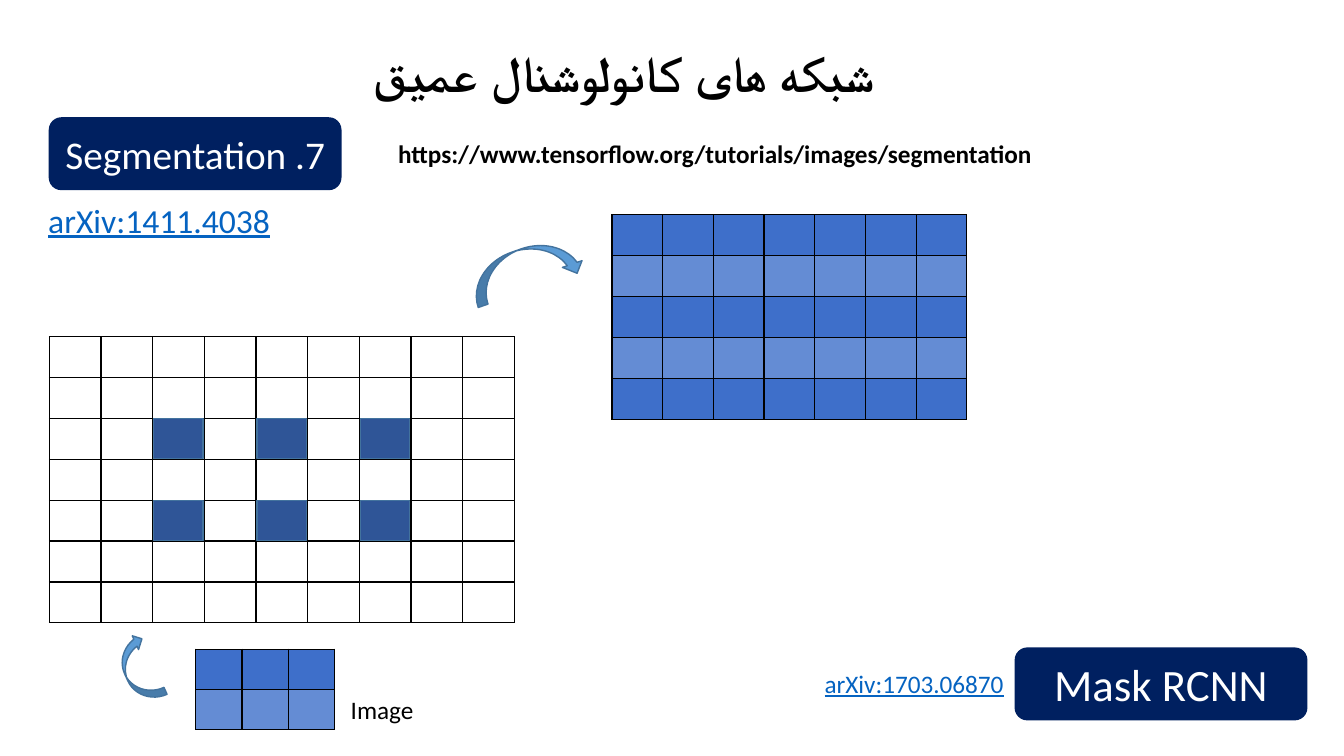
from lxml import etree
from pptx import Presentation
from pptx.dml.color import RGBColor
from pptx.enum.shapes import MSO_SHAPE
from pptx.enum.text import MSO_ANCHOR, PP_ALIGN
from pptx.oxml.ns import qn
from pptx.util import Inches, Pt

ROUNDED, SQUARE, CURVED = MSO_SHAPE.ROUNDED_RECTANGLE, MSO_SHAPE.RECTANGLE, MSO_SHAPE.CURVED_LEFT_ARROW
MIDDLE = MSO_ANCHOR.MIDDLE
LEFT, CENTER = PP_ALIGN.LEFT, PP_ALIGN.CENTER
BLACK = RGBColor(0x00, 0x00, 0x00)
WHITE = RGBColor(0xFF, 0xFF, 0xFF)
NAVY = RGBColor(0x00, 0x20, 0x60)
LINK_BLUE = RGBColor(0x05, 0x63, 0xC1)
BAND_DARK = RGBColor(0x3E, 0x6F, 0xCA)
BAND_LIGHT = RGBColor(0x64, 0x8C, 0xD4)
SAMPLE_BLUE = RGBColor(0x2F, 0x55, 0x97)
ARROW_BLUE = RGBColor(0x5B, 0x9B, 0xD5)
EDGE_BLUE = RGBColor(0x43, 0x73, 0x9E)
LINK = {"color": LINK_BLUE, "underline": True}


def write(frame, text, size, color=BLACK, font="Calibri", align=LEFT, rtl=False, **styles):
    """Put one formatted line of text in a frame."""
    paragraph = frame.paragraphs[0]
    paragraph.alignment = align
    if rtl:
        paragraph._p.get_or_add_pPr().set("rtl", "1")
    run = paragraph.add_run()
    run.text = text
    run.font.color.rgb = color
    for name, value in {"size": Pt(size), "name": font, **styles}.items():
        setattr(run.font, name, value)
    etree.SubElement(run._r.get_or_add_rPr(), qn("a:cs")).set("typeface", font)


def add_label(slide, box, text, size, wrap=False, **styles):
    """Add a line of plain text in the box."""
    frame = slide.shapes.add_textbox(*map(Inches, box)).text_frame
    frame.word_wrap = wrap
    write(frame, text, size, **styles)


def add_filled(slide, kind, box, fill, edge, rotation=0):
    """Add a flat preset shape with a one-point outline."""
    shape = slide.shapes.add_shape(kind, *map(Inches, box))
    shape.shadow.inherit = False
    shape.fill.solid()
    shape.fill.fore_color.rgb = fill
    shape.line.color.rgb = edge
    shape.line.width = Pt(1)
    shape.rotation = rotation
    return shape


def add_badge(slide, left, top, text, size):
    """Add a navy rounded badge with centred text."""
    badge = add_filled(slide, ROUNDED, (left, top, 2.89, 0.71), NAVY, NAVY)
    badge.text_frame.vertical_anchor = MIDDLE
    badge.text_frame.word_wrap = True
    write(badge.text_frame, text, size, WHITE, align=CENTER, rtl=True)


def add_borders(cell):
    """Draw a black one-point border around a cell."""
    properties = cell._tc.get_or_add_tcPr()
    for side in ("lnL", "lnR", "lnT", "lnB"):
        border = etree.SubElement(properties, qn(f"a:{side}"), w=str(Pt(1)))
        solid = etree.SubElement(border, qn("a:solidFill"))
        etree.SubElement(solid, qn("a:srgbClr"), val=str(BLACK))


def add_grid(slide, box, rows, columns, bands=()):
    """Add an empty table whose rows cycle through the band colours."""
    left, top, width, height = map(Inches, box)
    table = slide.shapes.add_table(rows, columns, left, top, width, height).table
    table.first_row = table.horz_banding = False
    for column in table.columns:
        column.width = width // columns
    for index, row in enumerate(table.rows):
        row.height = height // rows
        for cell in row.cells:
            add_borders(cell)
            if bands:
                cell.fill.solid()
                cell.fill.fore_color.rgb = bands[index % len(bands)]
            else:
                cell.fill.background()


def add_dilated_map(slide, box):
    """Add the white grid with samples on every second inner cell."""
    left, top, width, height = box
    rows, columns = 7, 9
    add_grid(slide, box, rows, columns)
    for column in (2, 4, 6):
        for row in (2, 4):
            x = left + column * width / columns + 0.01
            y = top + row * height / rows
            add_filled(slide, SQUARE, (x, y, 0.49, 0.4), SAMPLE_BLUE, EDGE_BLUE)


def add_header(slide, left, top):
    """Add the title, the topic badge and its references."""
    add_label(slide, (left + 1.17, top, 9.07, 0.71), "شبکه های کانولوشنال عمیق", 36,
              wrap=True, font="Karla", align=CENTER, rtl=True, bold=True)
    add_badge(slide, left, top + 0.8, "7. Segmentation", 28)
    add_label(slide, (left + 3.36, top + 0.95, 6.54, 0.4),
              "https://www.tensorflow.org/tutorials/images/segmentation", 18, bold=True)
    add_label(slide, (left - 0.11, top + 1.56, 2.42, 0.5), "arXiv:1411.4038", 24, **LINK)


def add_upsampling(slide, left, top):
    """Add the image, its dilated map and the output, linked by arrows."""
    bands = (BAND_DARK, BAND_LIGHT)
    add_grid(slide, (left + 1.45, top + 4.31, 1.38, 0.8), 2, 3, bands)
    add_dilated_map(slide, (left, top + 1.21, 4.61, 2.84))
    add_grid(slide, (left + 5.58, top, 3.52, 2.03), 5, 7, bands)
    for x, y, width, height, rotation in ((0.74, 4.17, 0.3, 0.68, 155.6),
                                          (4.52, -0.03, 0.41, 1.14, 250.9)):
        add_filled(slide, CURVED, (left + x, top + y, width, height),
                   ARROW_BLUE, EDGE_BLUE, rotation)
    add_label(slide, (left + 2.89, top + 4.71, 1.22, 0.4), "Image", 18, wrap=True)


def add_footer(slide, left, top):
    """Add the related-model badge and its reference."""
    add_label(slide, (left, top + 0.15, 2, 0.4), "arXiv:1703.06870", 18, **LINK)
    add_badge(slide, left + 1.99, top, "Mask RCNN", 32)


def main():
    """Build and save the slide."""
    deck = Presentation()
    deck.slide_width, deck.slide_height = Inches(13.33), Inches(7.5)
    slide = deck.slides.add_slide(deck.slide_layouts[6])
    add_header(slide, 0.49, 0.37)
    add_upsampling(slide, 0.49, 2.13)
    add_footer(slide, 8.08, 6.43)
    deck.save("out.pptx")


if __name__ == "__main__":
    main()
